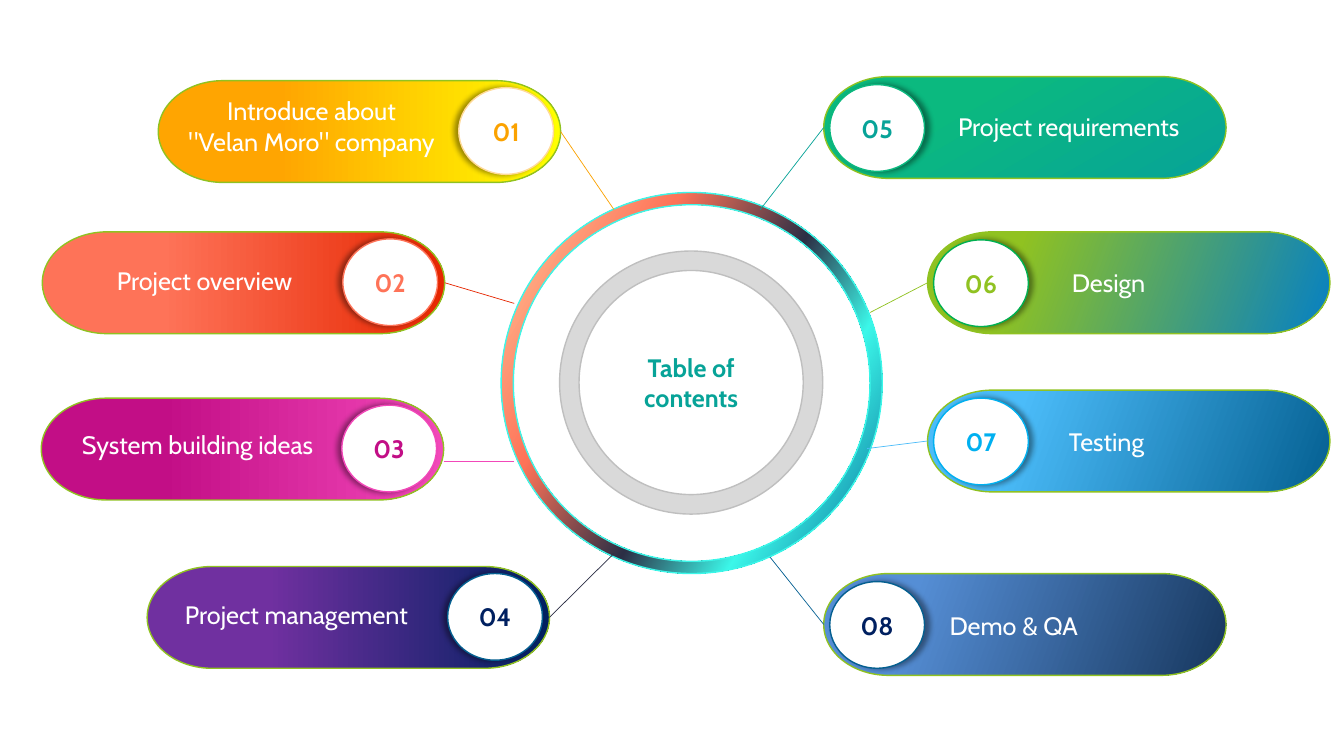
from lxml import etree
from pptx import Presentation, util as u
from pptx.dml.color import RGBColor
from pptx.enum import shapes, text
from pptx.oxml.ns import qn

PX = 9144  # 100 px to the inch
PILL_W, PILL_H = 399, 101
BADGE_W, BADGE_H = 94, 86
FONT = {"name": "Cabin", "size": u.Pt(18)}
SHAPE = shapes.MSO_SHAPE
COLOURS = {
    "white": "FFFFFF", "black": "000000", "grey": "D9D9D9", "grey_line": "BFBFBF",
    "teal": "07A398", "emerald": "0BB97F", "green": "00B050", "lime": "90C221",
    "blue": "0680C3", "sky": "4BBCF9", "cyan": "00B0F0", "petrol": "056092",
    "petrol_line": "045F90", "steel": "558ED5", "slate": "17375E", "navy": "002060",
    "amber": "FBA200", "orange": "FFA501", "yellow": "FFFF00", "sand": "FFDA97",
    "coral": "FE7358", "red": "E62601", "magenta": "C20E86", "pink": "F248B9",
    "purple": "7030A0", "ink": "2C2F45", "peach": "FFCC9E", "aqua": "3BF7E9",
}

# number, label lines, pill (x, y), label (x, y, width), gradient stops, angle,
# badge outline, number colour, connector colour, connector end
LEFT_ITEMS = [
    ("01", ["Introduce about", '"Velan Moro" company'], (157, 80), (144, 90, 330),
     [(30, "orange"), (100, "yellow")], 0, "sand", "amber", "amber", (609, 208)),
    ("02", ["Project overview"], (42, 230), (38, 258, 330),
     [(30, "coral"), (100, "red")], 0, "coral", "coral", "red", (510, 301)),
    ("03", ["System building ideas"], (41, 395), (31, 421, 330),
     [(30, "magenta"), (100, "pink")], 0, "pink", "magenta", "pink", (510, 458)),
    ("04", ["Project management"], (146, 562), (129, 590, 330),
     [(30, "purple"), (100, "navy")], 0, "petrol_line", "navy", "ink", (609, 549)),
]
RIGHT_ITEMS = [
    ("05", ["Project requirements"], (817, 76), (895, 106, 330),
     [(30, "emerald"), (100, "teal")], 60, "emerald", "teal", "teal", (754, 208)),
    ("06", ["Design"], (920, 230), (1015, 260, 169),
     [(22, "lime"), (100, "blue")], 20, "green", "lime", "lime", (863, 310)),
    ("07", ["Testing"], (920, 387), (1021, 418, 153),
     [(22, "sky"), (100, "petrol")], 20, "cyan", "cyan", "sky", (860, 445)),
    ("08", ["Demo & QA"], (817, 569), (894, 601, 223),
     [(22, "steel"), (100, "slate")], 20, "petrol_line", "navy", "petrol", (764, 553)),
]
LEVEL_CONNECTORS = {"03"}  # drawn horizontally, below the middle of the pill


def rgb(name):
    return RGBColor.from_string(COLOURS[name])


def px(*values):
    return [v * PX for v in values]


def write(tf, lines, colour, **extra):
    tf.word_wrap = True
    for i, line in enumerate(lines):
        p = tf.paragraphs[0] if i == 0 else tf.add_paragraph()
        p.alignment = text.PP_ALIGN.CENTER
        r = p.add_run()
        r.text = line
        for key, value in {**FONT, **extra}.items():
            setattr(r.font, key, value)
        r.font.color.rgb = rgb(colour)


def add_outlined(slide, kind, box, line):
    sp = slide.shapes.add_shape(kind, *px(*box))
    sp.shadow.inherit = False
    sp.line.color.rgb = rgb(line)
    sp.line.width = u.Pt(1)
    return sp


def fill_solid(sp, colour):
    sp.fill.solid()
    sp.fill.fore_color.rgb = rgb(colour)


def fill_gradient(sp, stops, angle):
    """Fill with (percent, colour) stops; the angle runs clockwise."""
    sp.fill.gradient()
    sp.fill.gradient_angle = -angle % 360
    gs_list = sp._element.spPr.find(qn("a:gradFill")).find(qn("a:gsLst"))
    for gs in list(gs_list):
        gs_list.remove(gs)
    for position, colour in stops:
        gs = etree.SubElement(gs_list, qn("a:gs"), pos=str(position * 1000))
        etree.SubElement(gs, qn("a:srgbClr"), val=COLOURS[colour])


def cast_shadow(sp, angle):
    effects = sp._element.spPr.find(qn("a:effectLst"))
    shadow = etree.SubElement(effects, qn("a:outerShdw"), blurRad=str(u.Pt(4)),
                              dist=str(u.Pt(3)), dir=str(angle * 60000),
                              algn="ctr", rotWithShape="0")
    clr = etree.SubElement(shadow, qn("a:srgbClr"), val=COLOURS["black"])
    etree.SubElement(clr, qn("a:alpha"), val="40000")


def add_ring(slide, box, thickness, line):
    ring = add_outlined(slide, SHAPE.DONUT, box, line)
    ring.adjustments[0] = thickness
    return ring


def add_title(slide, lines, box):
    title = slide.shapes.title
    title.left, title.top, title.width, title.height = px(*box)
    tf = title.text_frame
    tf.auto_size = text.MSO_AUTO_SIZE.NONE
    tf.vertical_anchor = text.MSO_ANCHOR.MIDDLE
    write(tf, lines, "teal", bold=True)


def add_label(slide, lines, x, y, width):
    box = slide.shapes.add_textbox(*px(x, y, width, 40 * len(lines)))
    write(box.text_frame, lines, "white")


def add_badge(slide, number, x, y, line, colour, shadow_angle):
    badge = add_outlined(slide, SHAPE.FLOWCHART_CONNECTOR, (x, y, BADGE_W, BADGE_H), line)
    fill_solid(badge, "white")
    cast_shadow(badge, shadow_angle)
    badge.text_frame.vertical_anchor = text.MSO_ANCHOR.MIDDLE
    write(badge.text_frame, [number], colour, bold=True)


def add_link(slide, pill, site, start, end, colour):
    """Draw a thin line to the ring, joined to the pill when a site is given."""
    link = slide.shapes.add_connector(shapes.MSO_CONNECTOR.STRAIGHT, *px(*start, *end))
    if site is not None:
        link.begin_connect(pill, site)
    link.line.color.rgb = rgb(colour)
    link.line.width = u.Pt(0.5)
    etree.SubElement(link._element.spPr, qn("a:effectLst"))


def add_item(slide, item, on_left):
    number, lines, (x, y), label, stops, angle, outline, colour, link_colour, end = item
    pill = add_outlined(slide, SHAPE.FLOWCHART_TERMINATOR, (x, y, PILL_W, PILL_H), "lime")
    fill_gradient(pill, stops, angle)
    add_label(slide, lines, *label)
    badge_x, badge_y = (x + 298, y + 7) if on_left else (x + 6, y + 8)
    add_badge(slide, number, badge_x, badge_y, outline, colour, 180 if on_left else 0)

    level = number in LEVEL_CONNECTORS
    start = (x + PILL_W if on_left else x, end[1] if level else y + PILL_H // 2)
    site = None if level else 3 if on_left else 1
    add_link(slide, pill, site, start, end, link_colour)


def main():
    prs = Presentation()
    prs.slide_width, prs.slide_height = px(1333, 750)
    slide = prs.slides.add_slide(prs.slide_layouts[5])

    add_title(slide, ["Table of contents"], (593, 287, 185, 185))
    fill_solid(add_ring(slide, (555, 249, 261, 261), 0.074, "grey_line"), "grey")
    outer = add_ring(slide, (497, 191, 378, 378), 0.032, "aqua")
    fill_gradient(outer, [(0, "peach"), (30, "coral"), (55, "ink"),
                          (74, "aqua"), (100, "petrol")], 30)

    for item in LEFT_ITEMS:
        add_item(slide, item, on_left=True)
    for item in RIGHT_ITEMS:
        add_item(slide, item, on_left=False)
    prs.save("out.pptx")


if __name__ == "__main__":
    main()
